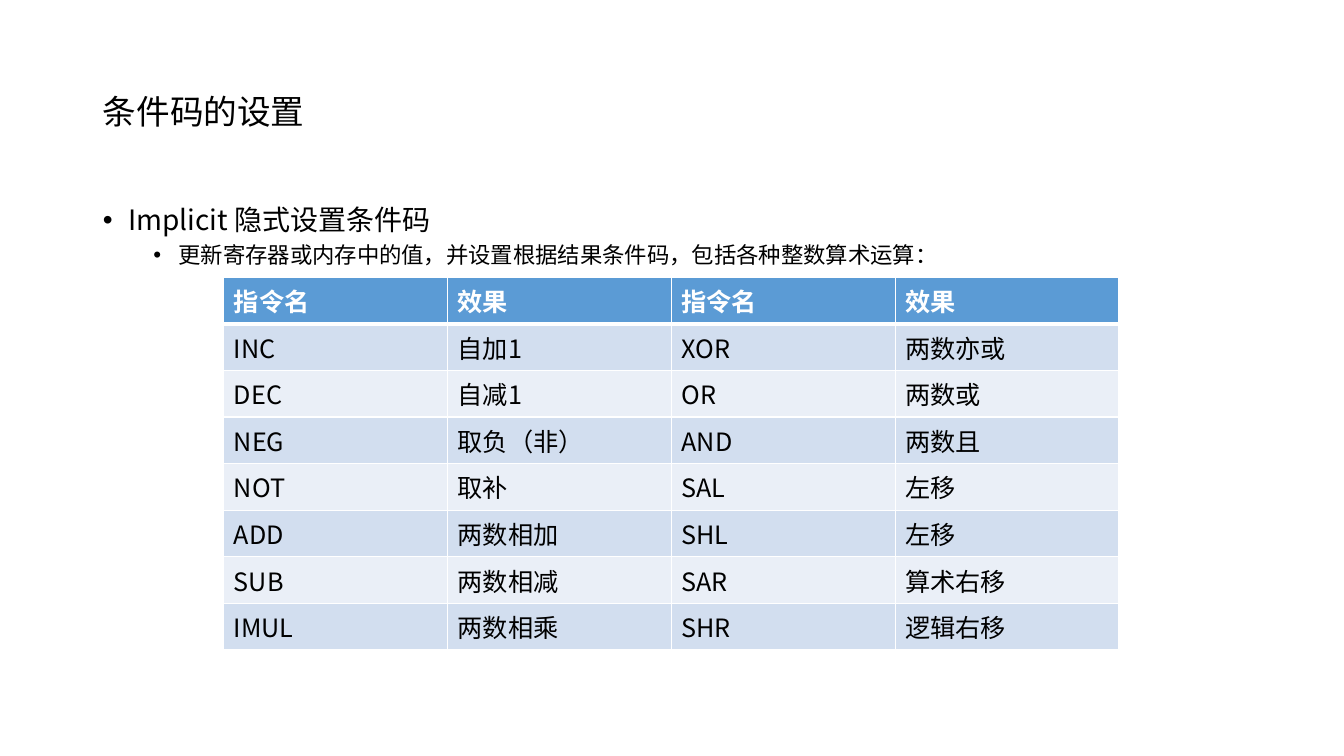
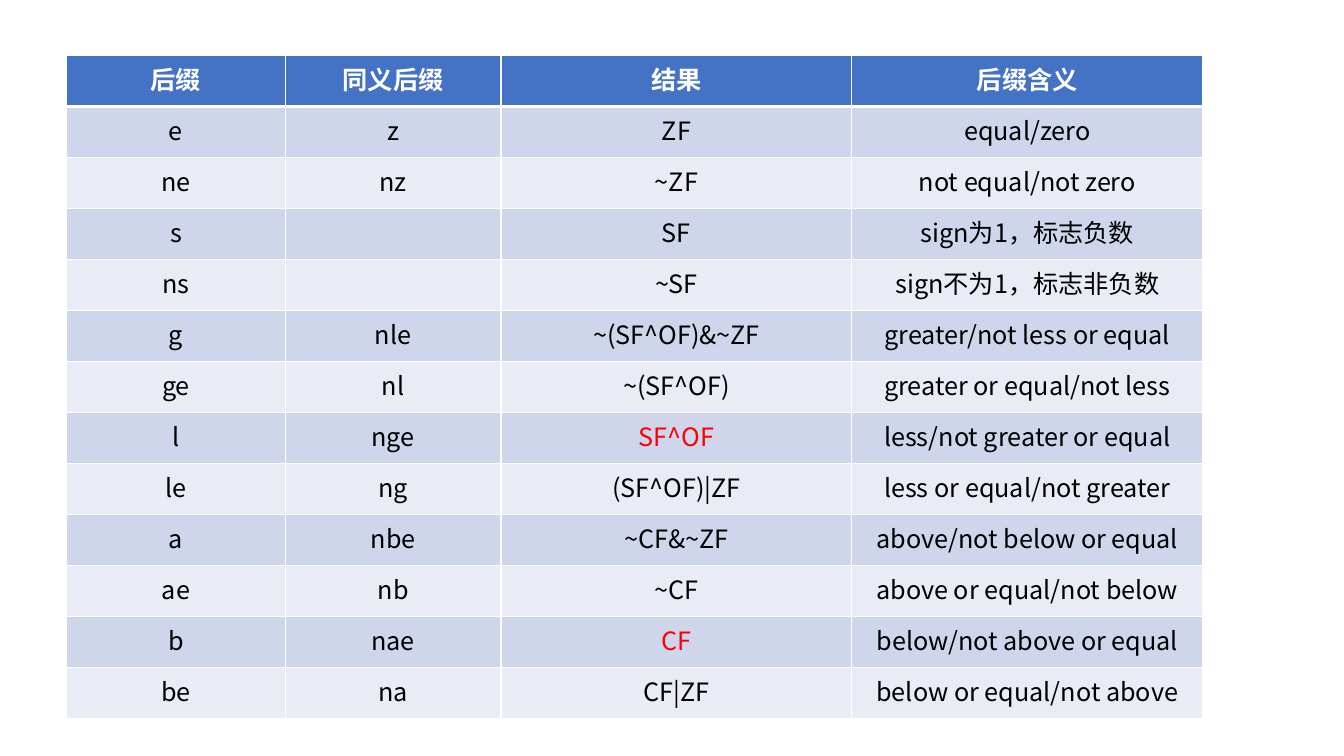
from pptx import Presentation
from pptx import util as u
from pptx.dml.color import RGBColor
from pptx.enum import text
from pptx.oxml import parse_xml
from pptx.oxml.ns import nsdecls

FONT = "Noto Sans CJK SC"
BLACK, WHITE, RED = "000000", "FFFFFF", "FF0000"
TITLE = "条件码的设置"
BULLETS = [
    {"text": "Implicit 隐式设置条件码", "level": 0, "size": 20, "margin": 0.25, "before": 0},
    {"text": "更新寄存器或内存中的值，并设置根据结果条件码，包括各种整数算术运算：",
     "level": 1, "size": 16, "margin": 0.75, "before": 5},
]
INSTRUCTIONS = {
    "at": (2.22, 2.75),
    "widths": [2.22] * 4,
    "row_height": 0.41,
    "fills": ("5B9BD5", "D2DEEF", "EAEFF7"),
    "align": text.PP_ALIGN.LEFT,
    "highlights": (),
    "rows": [
        ("指令名", "效果", "指令名", "效果"),
        ("INC", "自加1", "XOR", "两数亦或"),
        ("DEC", "自减1", "OR", "两数或"),
        ("NEG", "取负（非）", "AND", "两数且"),
        ("NOT", "取补", "SAL", "左移"),
        ("ADD", "两数相加", "SHL", "左移"),
        ("SUB", "两数相减", "SAR", "算术右移"),
        ("IMUL", "两数相乘", "SHR", "逻辑右移"),
    ],
}
SUFFIXES = {
    "at": (0.66, 0.55),
    "widths": [2.17, 2.14, 3.48, 3.48],
    "row_height": 0.506,
    "fills": ("4472C4", "CFD5EA", "E9EBF5"),
    "align": text.PP_ALIGN.CENTER,
    "highlights": ("SF^OF", "CF"),
    "rows": [
        ("后缀", "同义后缀", "结果", "后缀含义"),
        ("e", "z", "ZF", "equal/zero"),
        ("ne", "nz", "~ZF", "not equal/not zero"),
        ("s", "", "SF", "sign为1，标志负数"),
        ("ns", "", "~SF", "sign不为1，标志非负数"),
        ("g", "nle", "~(SF^OF)&~ZF", "greater/not less or equal"),
        ("ge", "nl", "~(SF^OF)", "greater or equal/not less"),
        ("l", "nge", "SF^OF", "less/not greater or equal"),
        ("le", "ng", "(SF^OF)|ZF", "less or equal/not greater"),
        ("a", "nbe", "~CF&~ZF", "above/not below or equal"),
        ("ae", "nb", "~CF", "above or equal/not below"),
        ("b", "nae", "CF", "below/not above or equal"),
        ("be", "na", "CF|ZF", "below or equal/not above"),
    ],
}


def color(value):
    return RGBColor.from_string(value)


def set_attributes(target, values):
    for name, value in values.items():
        setattr(target, name, value)


def write(paragraph, content, size, fill=BLACK, bold=False, **layout):
    set_attributes(paragraph, layout)
    if not content:
        return
    run = paragraph.add_run()
    run.text = content
    set_attributes(run.font, {"size": u.Pt(size), "bold": bold, "name": FONT})
    run.font.color.rgb = color(fill)
    run.font._element.append(parse_xml(f'<a:ea {nsdecls("a")} typeface="{FONT}"/>'))


def place(shape, left, top, width, height, anchor):
    set_attributes(shape, {"left": u.Inches(left), "top": u.Inches(top),
                           "width": u.Inches(width), "height": u.Inches(height)})
    set_attributes(shape.text_frame, {"word_wrap": True, "vertical_anchor": anchor,
                                      "auto_size": text.MSO_AUTO_SIZE.NONE})


def add_bullet(paragraph, margin):
    properties = paragraph._p.get_or_add_pPr()
    properties.set("marL", str(u.Inches(margin)))
    properties.set("indent", str(u.Inches(-0.25)))
    properties.append(parse_xml(f'<a:buFont {nsdecls("a")} typeface="Arial"/>'))
    properties.append(parse_xml(f'<a:buChar {nsdecls("a")} char="•"/>'))


def add_borders(cell, row):
    top = 3 if row == 1 else 1
    bottom = 3 if row == 0 else 1
    properties = cell._tc.get_or_add_tcPr()
    for side, width in (("L", 1), ("R", 1), ("T", top), ("B", bottom)):
        properties.append(parse_xml(
            f'<a:ln{side} {nsdecls("a")} w="{u.Pt(width)}"><a:solidFill>'
            f'<a:srgbClr val="{WHITE}"/></a:solidFill></a:ln{side}>'))


def add_grid(slide, grid):
    rows, widths = grid["rows"], grid["widths"]
    left, top = grid["at"]
    header, odd, even = grid["fills"]
    table = slide.shapes.add_table(
        len(rows), len(widths), u.Inches(left), u.Inches(top),
        u.Inches(sum(widths)), u.Inches(grid["row_height"] * len(rows))).table
    for column, width in zip(table.columns, widths):
        column.width = u.Inches(width)
    for index, values in enumerate(rows):
        table.rows[index].height = u.Inches(grid["row_height"])
        fill = header if index == 0 else odd if index % 2 else even
        for cell, value in zip(table.rows[index].cells, values):
            add_borders(cell, index)
            cell.fill.solid()
            cell.fill.fore_color.rgb = color(fill)
            ink = WHITE if index == 0 else RED if value in grid["highlights"] else BLACK
            write(cell.text_frame.paragraphs[0], value, 18, ink, index == 0,
                  alignment=grid["align"])


def add_slide(presentation, layout):
    slide = presentation.slides.add_slide(presentation.slide_layouts[layout])
    slide.background.fill.solid()
    slide.background.fill.fore_color.rgb = color(WHITE)
    return slide


def main():
    presentation = Presentation()
    set_attributes(presentation, {"slide_width": u.Inches(13.33),
                                  "slide_height": u.Inches(7.5)})

    slide = add_slide(presentation, 1)
    title, body = slide.placeholders
    place(title, 0.92, 0.4, 11.5, 1.45, text.MSO_ANCHOR.MIDDLE)
    write(title.text_frame.paragraphs[0], TITLE, 24,
          alignment=text.PP_ALIGN.LEFT, line_spacing=0.9)
    place(body, 0.92, 2, 11.5, 4.76, text.MSO_ANCHOR.TOP)
    for index, item in enumerate(BULLETS):
        frame = body.text_frame
        paragraph = frame.add_paragraph() if index else frame.paragraphs[0]
        add_bullet(paragraph, item["margin"])
        write(paragraph, item["text"], item["size"], level=item["level"],
              line_spacing=0.9, space_before=u.Pt(item["before"]))
    add_grid(slide, INSTRUCTIONS)

    add_grid(add_slide(presentation, 6), SUFFIXES)
    presentation.save("out.pptx")


if __name__ == "__main__":
    main()
